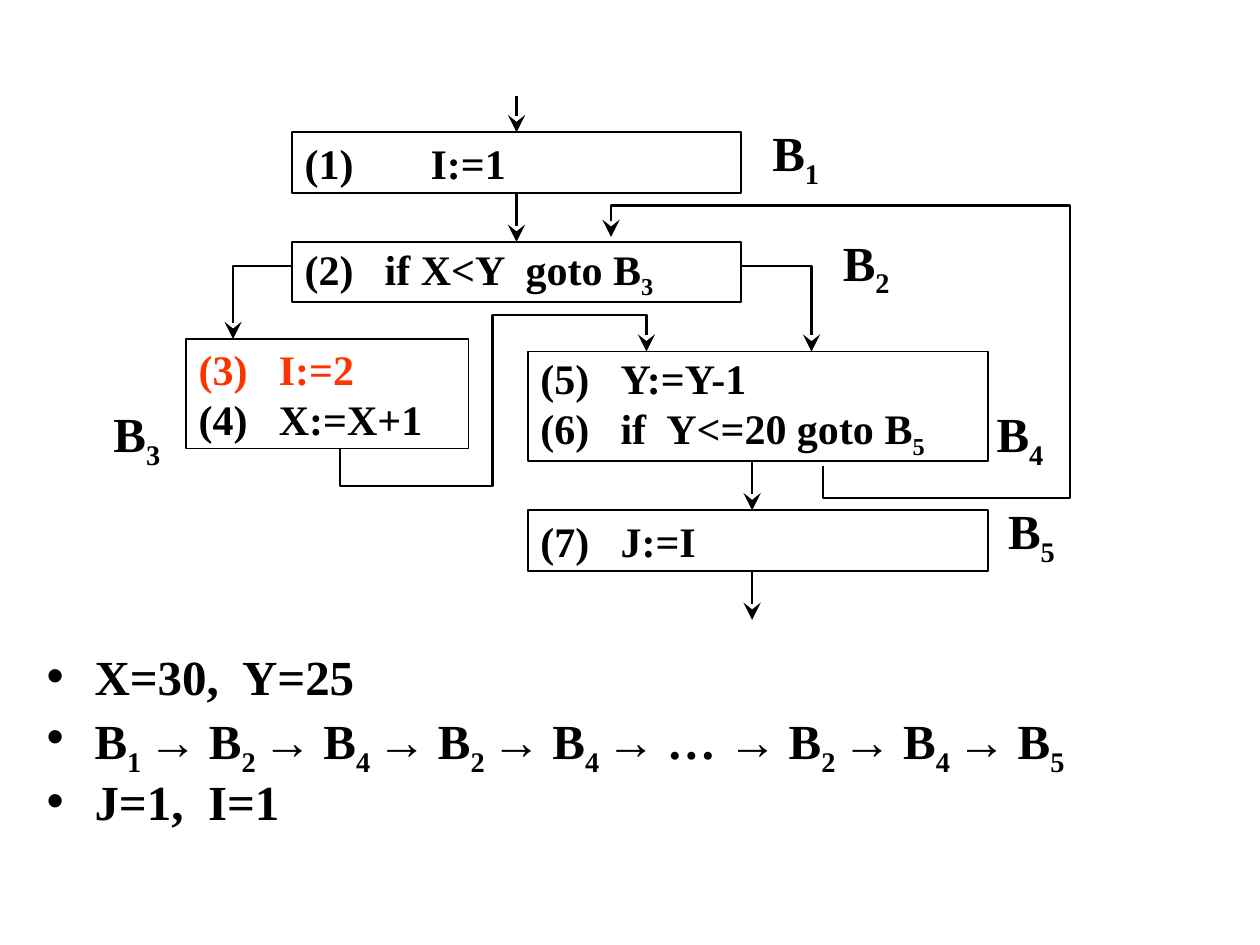
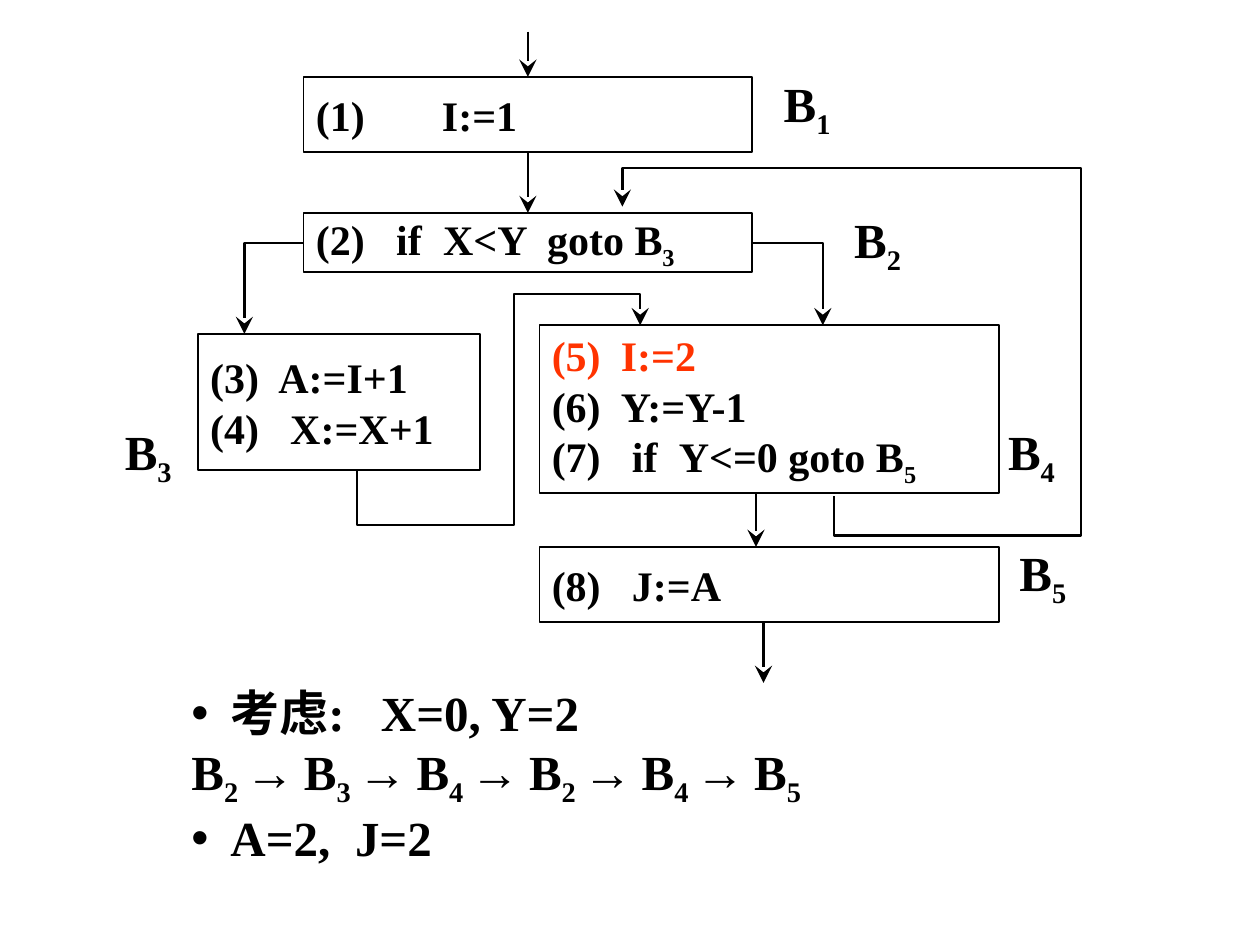
from pptx import Presentation
from pptx.dml.color import RGBColor
from pptx.enum.shapes import MSO_CONNECTOR, MSO_SHAPE
from pptx.enum.text import MSO_ANCHOR, MSO_AUTO_SIZE, PP_ALIGN
from pptx.oxml.ns import qn
from pptx.util import Pt
from lxml.etree import SubElement

COLORS = {"ink": "000000", "assignment": "FF3300", "paper": "FFFFFF"}
SERIF, ARROW_FONT = "Times New Roman", "Arial"
CODE_SIZE, LABEL_SIZE = 24, 28
LABEL_WIDTH = 36.7

# Left edge and width of each block, and left edge of its label
BLOCK_COLUMNS = {
    "B1": (167, 256.3), "B2": (167, 256.3), "B3": (106.5, 161.3),
    "B4": (301.7, 262.8), "B5": (301.7, 262.8),
}
LABEL_LEFTS = {"B1": 436.3, "B2": 476.6, "B3": 59.8, "B4": 564.5, "B5": 571}
BRANCH_XS = {"B3": 133.2, "B4": 463.7}
LOOP_XS = (470.2, 611.3, 349.2)

# A code line is (text, tab stops, colour); "_" starts a subscript.
# A block is (top, height, label top, code lines).
FLOW_GRAPHS = [
    {
        "shift": 0,
        "label_height": 41.8,
        "blocks": {
            "B1": (75.6, 34.6, 68.4, [("(1)\tI:=1", [72], "ink")]),
            "B2": (138.2, 34.6, 131, [("(2)\tif X<Y\tgoto B_3", [45.8, 126.3], "ink")]),
            "B3": (193.7, 62.6, 229, [("(3)\tI:=2", [45.8], "assignment"),
                                      ("(4)\tX:=X+1", [45.8], "ink")]),
            "B4": (200.9, 62.6, 229, [("(5)\tY:=Y-1", [45.8], "ink"),
                                      ("(6)\tif\tY<=20 goto B_5", [45.8, 72], "ink")]),
            "B5": (291.6, 34.6, 284.4, [("(7)\tJ:=I", [45.8], "ink")]),
        },
        "entry_y": 54.7, "exit_y": 354.2, "down_xs": (429.8, 429.8),
        "branch_y": 151.9,
        "loop_ys": (266.4, 284.4, 117.4, 135.4),
        "join_xs": (194.4, 281.5, 369.4), "join_ys": (277.9, 180),
        "notes": {
            "frame": (19.4, 372.2, 689, 113.8),
            "margin": 27.4, "hanging": 27.4, "line_spacing": 0.8, "arrow_spacing": -1.1,
            "lines": [("X=30,\tY=25", [111.7], 0),
                      (["B_1", "B_2", "B_4", "B_2", "B_4", "…", "B_2", "B_4", "B_5"], [], 7),
                      ("J=1,\tI=1", [92.3], 7)],
        },
    },
    {
        "shift": 6.5,
        "label_height": 51.8,
        "blocks": {
            "B1": (43.9, 43.2, 35.3, [("(1)\tI:=1", [72], "ink")]),
            "B2": (121.7, 33.8, 113, [("(2)\tif\tX<Y\tgoto B_3", [45.8, 72.6, 132], "ink")]),
            "B3": (190.8, 77.8, 234, [("(3)\tA:=I+1", [39], "ink"),
                                      ("(4)\tX:=X+1", [45.8], "ink")]),
            "B4": (185.8, 95.8, 234, [("(5)\tI:=2", [39.5], "assignment"),
                                      ("(6)\tY:=Y-1", [39.5], "ink"),
                                      ("(7)\tif\tY<=0 goto B_5", [45.8, 72.6], "ink")]),
            "B5": (312.5, 43.2, 303.1, [("(8)\tJ:=A", [45.8], "ink")]),
        },
        "entry_y": 18, "exit_y": 390.2, "down_xs": (432, 436.3),
        "branch_y": 139,
        "loop_ys": (283.7, 306, 95.8, 118.1),
        "join_xs": (203.8, 293.8, 365.8), "join_ys": (300.2, 167.8),
        "notes": {
            "frame": (66.2, 390.2, 612, 113.8),
            "margin": 58.3, "hanging": 22.3, "line_spacing": 0.9, "arrow_spacing": -2.2,
            "lines": [("考虑:\tX=0, Y=2", [144.3], 0),
                      (["B_2", "B_3", "B_4", "B_2", "B_4", "B_5"], [], 0),
                      ("A=2,\tJ=2", [129.5], 7)],
            "unbulleted": 1,
        },
    },
]


def color(name):
    return RGBColor.from_string(COLORS[name])


def add_run(paragraph, text, size, color_name="ink", font=SERIF, subscript=False):
    run = paragraph.add_run()
    run.text = text
    for name, value in {"name": font, "size": Pt(size), "bold": True}.items():
        setattr(run.font, name, value)
    run.font.color.rgb = color(color_name)
    if subscript:
        run.font._element.set("baseline", "-25000")
    return run


def add_marked_text(paragraph, text, size, color_name="ink", after=""):
    """Write text, lowering the part that follows an underscore."""
    base, mark, lowered = text.partition("_")
    add_run(paragraph, base if mark else base + after, size, color_name)
    if mark:
        add_run(paragraph, lowered + after, size, color_name, subscript=True)


def add_tab_stops(paragraph, stops):
    if stops:
        tab_list = SubElement(paragraph._p.get_or_add_pPr(), qn("a:tabLst"))
        for stop in stops:
            SubElement(tab_list, qn("a:tab"), pos=str(Pt(stop)), algn="l")


def paragraphs_for(text_frame, lines):
    """Pair each line with a paragraph, reusing the first one."""
    for index, line in enumerate(lines):
        yield (text_frame.add_paragraph() if index else text_frame.paragraphs[0]), line


def add_block(slide, box, lines):
    shape = slide.shapes.add_shape(MSO_SHAPE.RECTANGLE, *map(Pt, box))
    shape.shadow.inherit = False
    shape.fill.background()
    shape.line.color.rgb = color("ink")
    shape.line.width = Pt(1)
    shape.text_frame.vertical_anchor = MSO_ANCHOR.MIDDLE
    for paragraph, (text, stops, color_name) in paragraphs_for(shape.text_frame, lines):
        paragraph.alignment = PP_ALIGN.LEFT
        add_tab_stops(paragraph, stops)
        add_marked_text(paragraph, text, CODE_SIZE, color_name)


def add_label(slide, text, left, top, height):
    label = slide.shapes.add_textbox(Pt(left), Pt(top), Pt(LABEL_WIDTH), Pt(height))
    frame_format = {"word_wrap": True, "margin_left": 0, "margin_right": 0,
                    "vertical_anchor": MSO_ANCHOR.MIDDLE}
    for name, value in frame_format.items():
        setattr(label.text_frame, name, value)
    paragraph = label.text_frame.paragraphs[0]
    paragraph.alignment = PP_ALIGN.CENTER
    add_marked_text(paragraph, text, LABEL_SIZE)


def style_arrow(shape):
    shape.line.color.rgb = color("ink")
    shape.line.width = Pt(1.25)
    SubElement(shape.line._get_or_add_ln(), qn("a:tailEnd"),
               type="stealth", w="lg", len="lg")


def add_down_arrow(slide, x, start_y, end_y):
    arrow = slide.shapes.add_connector(
        MSO_CONNECTOR.STRAIGHT, Pt(x), Pt(start_y), Pt(x), Pt(end_y))
    style_arrow(arrow)
    SubElement(arrow._element.spPr, qn("a:effectLst"))


def add_route(slide, points):
    start, *rest = [(Pt(x), Pt(y)) for x, y in points]
    builder = slide.shapes.build_freeform(*start)
    builder.add_line_segments(rest, close=False)
    route = builder.convert_to_shape()
    route.fill.background()
    route.shadow.inherit = False
    style_arrow(route)


def add_flow(slide, graph):
    shift, blocks = graph["shift"], graph["blocks"]
    lefts, widths, tops, bottoms = {}, {}, {}, {}
    for name, (top, height, label_top, lines) in blocks.items():
        left, width = BLOCK_COLUMNS[name]
        lefts[name], widths[name] = left + shift, width
        tops[name], bottoms[name] = top, top + height
        add_block(slide, (left + shift, top, width, height), lines)
        add_label(slide, f"B_{name[1]}", LABEL_LEFTS[name] + shift, label_top,
                  graph["label_height"])

    center = lefts["B1"] + widths["B1"] / 2
    to_last, to_exit = graph["down_xs"]
    for x, start_y, end_y in [
        (center, graph["entry_y"], tops["B1"]),
        (center, bottoms["B1"], tops["B2"]),
        (to_last, bottoms["B4"], tops["B5"]),
        (to_exit, bottoms["B5"], graph["exit_y"]),
    ]:
        add_down_arrow(slide, x, start_y, end_y)

    branch_starts = {"B3": lefts["B2"], "B4": lefts["B2"] + widths["B2"]}
    for target, start_x in branch_starts.items():
        x, y = BRANCH_XS[target] + shift, graph["branch_y"]
        add_route(slide, [(start_x, y), (x, y), (x, tops[target])])

    loop_xs = [x + shift for x in LOOP_XS]
    join_ys = (bottoms["B3"], *graph["join_ys"], tops["B4"])
    for xs, ys in [(loop_xs, graph["loop_ys"]), (graph["join_xs"], join_ys)]:
        out_x, side_x, in_x = xs
        start_y, out_y, in_y, end_y = ys
        add_route(slide, [(out_x, start_y), (out_x, out_y), (side_x, out_y),
                          (side_x, in_y), (in_x, in_y), (in_x, end_y)])


def add_trace(paragraph, steps, arrow_spacing):
    """Write the visited blocks with arrows between them."""
    for index, step in enumerate(steps):
        if index:
            arrow = add_run(paragraph, "→ ", LABEL_SIZE, font=ARROW_FONT)
            arrow.font._element.set("spc", str(round(arrow_spacing * 100)))
        add_marked_text(paragraph, step, LABEL_SIZE,
                        after=" " if index < len(steps) - 1 else "")


def fill_notes(body, notes):
    for name, value in zip(("left", "top", "width", "height"), notes["frame"]):
        setattr(body, name, Pt(value))
    body.text_frame.auto_size = MSO_AUTO_SIZE.NONE
    body.text_frame.vertical_anchor = MSO_ANCHOR.TOP
    pairs = paragraphs_for(body.text_frame, notes["lines"])
    for index, (paragraph, (content, stops, space_before)) in enumerate(pairs):
        properties = paragraph._p.get_or_add_pPr()
        margin, hanging = notes["margin"], notes["hanging"]
        if index == notes.get("unbulleted"):
            margin, hanging = margin - hanging, 0
            SubElement(properties, qn("a:buNone"))
        properties.set("marL", str(Pt(margin)))
        properties.set("indent", str(-Pt(hanging)))
        add_tab_stops(paragraph, stops)
        paragraph.line_spacing = notes["line_spacing"]
        paragraph.space_before = Pt(space_before)
        if isinstance(content, list):
            add_trace(paragraph, content, notes["arrow_spacing"])
        else:
            add_marked_text(paragraph, content, LABEL_SIZE)


def main():
    presentation = Presentation()
    presentation.slide_width, presentation.slide_height = Pt(720), Pt(540)
    for graph in FLOW_GRAPHS:
        slide = presentation.slides.add_slide(presentation.slide_layouts[1])
        slide.background.fill.solid()
        slide.background.fill.fore_color.rgb = color("paper")
        title, body = slide.placeholders
        title._element.getparent().remove(title._element)
        fill_notes(body, graph["notes"])
        add_flow(slide, graph)
    presentation.save("out.pptx")


if __name__ == "__main__":
    main()
